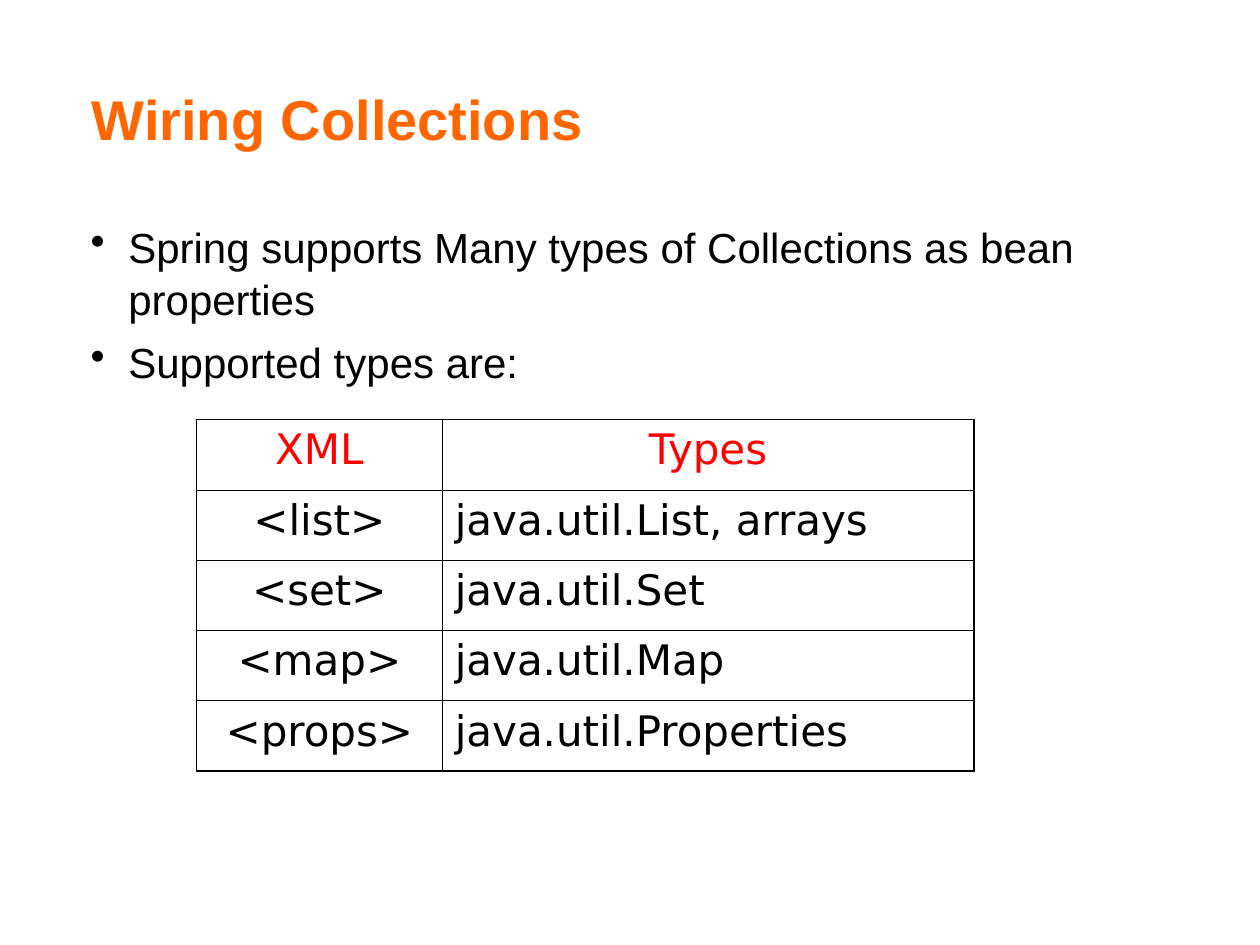
import dataclasses

import lxml.etree
import pptx
import pptx.dml.color
import pptx.enum.text
import pptx.oxml.ns
import pptx.util

Inches = pptx.util.Inches
Pt = pptx.util.Pt
qn = pptx.oxml.ns.qn
ALIGN = pptx.enum.text.PP_ALIGN
ANCHOR = pptx.enum.text.MSO_ANCHOR


@dataclasses.dataclass(frozen=True)
class Theme:
    heading: str = "FF6600"
    header: str = "FF0000"
    ink: str = "000000"
    title_size: int = 32
    text_size: int = 24
    text_font: str = "Arial"
    table_font: str = "DejaVu Sans"
    outer_line: float = 1.08
    inner_line: float = 0.45
    space_before: int = 6


THEME = Theme()

TITLE = "Wiring Collections"
POINTS = [
    "Spring supports Many types of Collections as bean properties",
    "Supported types are:",
]
COLLECTION_ROWS = [
    ("XML", "Types"),
    ("<list>", "java.util.List, arrays"),
    ("<set>", "java.util.Set"),
    ("<map>", "java.util.Map"),
    ("<props>", "java.util.Properties"),
]


def apply_format(target, values):
    for name, value in values.items():
        setattr(target, name, value)


def write(paragraph, text, color, font, size, bold=False, **layout):
    run = paragraph.add_run()
    run.text = text
    apply_format(run.font, {"name": font, "size": Pt(size), "bold": bold})
    run.font.color.rgb = pptx.dml.color.RGBColor.from_string(color)
    apply_format(paragraph, layout)


def add_text_frame(slide, box, **settings):
    frame = slide.shapes.add_textbox(*map(Inches, box)).text_frame
    apply_format(frame, {"word_wrap": True, **settings})
    return frame


def add_title(slide, box):
    frame = add_text_frame(slide, box, vertical_anchor=ANCHOR.BOTTOM)
    write(frame.paragraphs[0], TITLE, THEME.heading, THEME.text_font,
          THEME.title_size, bold=True)


def add_bullet(paragraph, indent):
    properties = paragraph._p.get_or_add_pPr()
    properties.set("marL", str(indent))
    properties.set("indent", str(-indent))
    lxml.etree.SubElement(properties, qn("a:buChar"), char="•")


def add_points(slide, box):
    frame = add_text_frame(slide, box, margin_top=Inches(0.07))
    for index, point in enumerate(POINTS):
        paragraph = frame.add_paragraph() if index else frame.paragraphs[0]
        write(paragraph, point, THEME.ink, THEME.text_font, THEME.text_size,
              space_before=Pt(THEME.space_before), line_spacing=1.04)
        add_bullet(paragraph, Inches(0.3))


def set_borders(cell, outer_edges):
    """Draw all four edges, with the heavier line where the edge is outer."""
    properties = cell._tc.get_or_add_tcPr()
    for position, (edge, outer) in enumerate(outer_edges.items()):
        width = THEME.outer_line if outer else THEME.inner_line
        line = lxml.etree.Element(qn(f"a:ln{edge}"), w=str(Pt(width)))
        fill = lxml.etree.SubElement(line, qn("a:solidFill"))
        lxml.etree.SubElement(fill, qn("a:srgbClr"), val=THEME.ink)
        properties.insert(position, line)


def add_collection_table(slide, box, column_widths):
    last_row, last_column = len(COLLECTION_ROWS) - 1, len(column_widths) - 1
    table = slide.shapes.add_table(
        last_row + 1, last_column + 1, *map(Inches, box)).table
    apply_format(table, {"first_row": False, "horz_banding": False})
    for column, width in zip(table.columns, column_widths):
        column.width = Inches(width)
    for r, entries in enumerate(COLLECTION_ROWS):
        for c, entry in enumerate(entries):
            cell = table.cell(r, c)
            cell.fill.background()
            centred = r == 0 or c == 0
            write(cell.text_frame.paragraphs[0], entry,
                  THEME.ink if r else THEME.header,
                  THEME.table_font, THEME.text_size,
                  alignment=ALIGN.CENTER if centred else ALIGN.LEFT,
                  space_before=Pt(THEME.space_before))
            set_borders(cell, {"L": c == 0, "R": c == last_column,
                               "T": r == 0, "B": r == last_row})


def main():
    deck = pptx.Presentation()
    apply_format(deck, {"slide_width": Inches(10), "slide_height": Inches(7.5)})
    slide = deck.slides.add_slide(deck.slide_layouts[6])
    add_title(slide, (0.63, 0.33, 8.75, 0.92))
    add_points(slide, (0.62, 1.67, 8.75, 2.47))
    add_collection_table(slide, (1.56, 3.33, 6.17, 2.79), (1.95, 4.22))
    deck.save("out.pptx")


if __name__ == "__main__":
    main()
